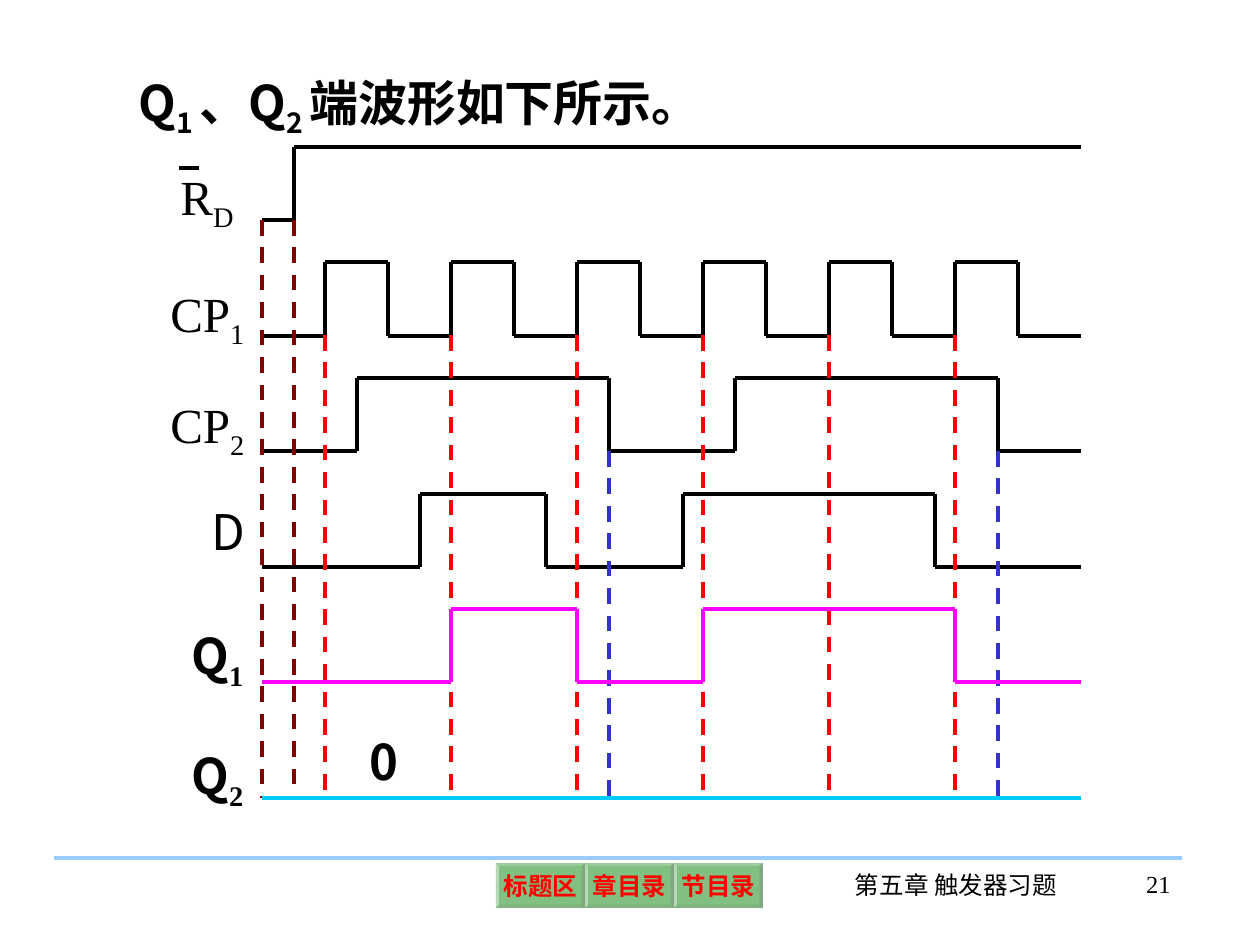
from itertools import pairwise

from lxml.etree import SubElement
from pptx import Presentation
from pptx.dml.color import RGBColor
from pptx.enum.dml import MSO_LINE
from pptx.enum.shapes import MSO_CONNECTOR, MSO_SHAPE
from pptx.enum.text import MSO_ANCHOR, PP_ALIGN
from pptx.oxml.ns import qn
from pptx.util import Emu, Pt

PX = 914400 // 126
SERIF, SANS = "Times New Roman", "Noto Sans CJK SC"
BLACK, RED, BLUE, MAROON = "000000", "FF0000", "3333CC", "800000"
MAGENTA, CYAN, PALE_BLUE, GREEN = "FF00FF", "00CCFF", "99CCFF", "008000"
START, END, BOTTOM = 262, 1081, 798

TITLE = [("Q", 0), ("1 ", 1), ("、Q", 0), ("2 ", 1), ("端波形如下所示。", 0)]
CLOCK_EDGES = [325 + 63 * step for step in range(12)]
# high y, low y, edges, colour
WAVES = [
    (147, 220, [294], BLACK),
    (262, 336, CLOCK_EDGES, BLACK),
    (378, 451, [357, 609, 735, 998], BLACK),
    (494, 567, [420, 546, 683, 935], BLACK),
    (609, 682, [451, 577, 703, 955], MAGENTA),
    (BOTTOM, BOTTOM, [], CYAN),
]
GUIDES = [
    (CLOCK_EDGES[::2], 335, RED),
    ([609, 998], 451, BLUE),
    ([START, 294], 220, MAROON),
]
LABELS = [
    ((168, 160, 86, 79), "R", "D", SERIF, False, 1.0),
    ((158, 257, 126, 100), "CP", "1", SERIF, False, 1.3),
    ((158, 368, 126, 100), "CP", "2", SERIF, False, 1.3),
    ((199, 478, 63, 89), "D", "", SANS, False, 1.3),
    ((179, 599, 84, 100), "Q", "1", SANS, True, 1.3),
    ((179, 719, 84, 100), "Q", "2", SANS, True, 1.3),
    ((357, 725, 84, 72), "0", "", SANS, True, 1.0),
]
FOOTERS = [
    ((839, 864, 234, 63), "第五章 触发器习题", PP_ALIGN.CENTER),
    ((1075, 863, 108, 63), "21", PP_ALIGN.RIGHT),
]
BUTTONS = ["标题区", "章目录", "节目录"]


def color(value):
    return RGBColor.from_string(value)


def lengths(*values):
    return [Emu(value * PX) for value in values]


def style(font, size, name, value=BLACK, bold=False):
    font.size, font.name, font.bold = Pt(size), name, bold
    font.color.rgb = color(value)
    east_asian = SubElement(font._element, qn("a:ea"))
    east_asian.set("typeface", SANS)


def add_run(paragraph, text, subscript=False):
    run = paragraph.add_run()
    run.text = text
    if subscript:
        run.font._element.set("baseline", "-25000")
    return run


def add_line(slide, x1, y1, x2, y2, value, dashed=False):
    line = slide.shapes.add_connector(MSO_CONNECTOR.STRAIGHT, *lengths(x1, y1, x2, y2))
    line.line.color.rgb = color(value)
    line.line.width = Pt(2.25)
    if dashed:
        line.line.dash_style = MSO_LINE.DASH
    SubElement(line._element.spPr, qn("a:effectLst"))


def add_text_box(slide, box):
    frame = slide.shapes.add_textbox(*lengths(*box)).text_frame
    frame.word_wrap = True
    return frame.paragraphs[0]


def add_wave(slide, high, low, edges, value):
    for index, (left, right) in enumerate(pairwise([START, *edges, END])):
        level = high if index % 2 else low
        add_line(slide, left, level, right, level, value)
    for edge in edges:
        add_line(slide, edge, high, edge, low, value)


def add_label(slide, box, text, subscript, name, bold, spacing):
    paragraph = add_text_box(slide, box)
    paragraph.line_spacing = spacing
    style(paragraph.font, 28, name, bold=bold)
    add_run(paragraph, text)
    if subscript:
        add_run(paragraph, subscript, True).font.name = SERIF


def add_button(slide, index, text):
    shape = slide.shapes.add_shape(MSO_SHAPE.BEVEL, *lengths(496 + 89 * index, 863, 89, 45))
    shape.adjustments[0] = 0.07
    shape.shadow.inherit = False
    shape.line.fill.background()
    shape.fill.solid()
    shape.fill.fore_color.rgb = color(GREEN)
    fill = shape._element.spPr.find(qn("a:solidFill"))
    SubElement(fill[0], qn("a:alpha")).set("val", "49000")
    frame = shape.text_frame
    frame.word_wrap = False
    frame.vertical_anchor = MSO_ANCHOR.MIDDLE
    frame.margin_left = frame.margin_right = frame.margin_top = frame.margin_bottom = Emu(5 * PX)
    paragraph = frame.paragraphs[0]
    paragraph.alignment = PP_ALIGN.CENTER
    style(paragraph.font, 14, SERIF, RED, True)
    add_run(paragraph, text)


def add_title(slide):
    title = slide.shapes.title
    title.left, title.top, title.width, title.height = lengths(126, 66, 924, 79)
    title.text_frame.vertical_anchor = MSO_ANCHOR.TOP
    paragraph = title.text_frame.paragraphs[0]
    paragraph.alignment = PP_ALIGN.LEFT
    style(paragraph.font, 28, SANS, bold=True)
    for text, subscript in TITLE:
        add_run(paragraph, text, subscript)


def main():
    """Build the flip-flop timing diagram slide."""
    presentation = Presentation()
    presentation.slide_width, presentation.slide_height = lengths(1260, 945)
    slide = presentation.slides.add_slide(presentation.slide_layouts[5])
    add_title(slide)
    add_line(slide, 54, 858, 1182, 858, PALE_BLUE)
    for box, text, alignment in FOOTERS:
        paragraph = add_text_box(slide, box)
        paragraph.alignment = alignment
        style(paragraph.font, 14, SERIF)
        add_run(paragraph, text)
    for wave in WAVES[:4]:
        add_wave(slide, *wave)
    add_line(slide, 179, 168, 199, 168, BLACK)
    for positions, top, value in GUIDES:
        for x in positions:
            add_line(slide, x, top, x, BOTTOM, value, dashed=True)
    for wave in WAVES[4:]:
        add_wave(slide, *wave)
    for label in LABELS:
        add_label(slide, *label)
    for index, text in enumerate(BUTTONS):
        add_button(slide, index, text)
    presentation.save("out.pptx")


if __name__ == "__main__":
    main()
